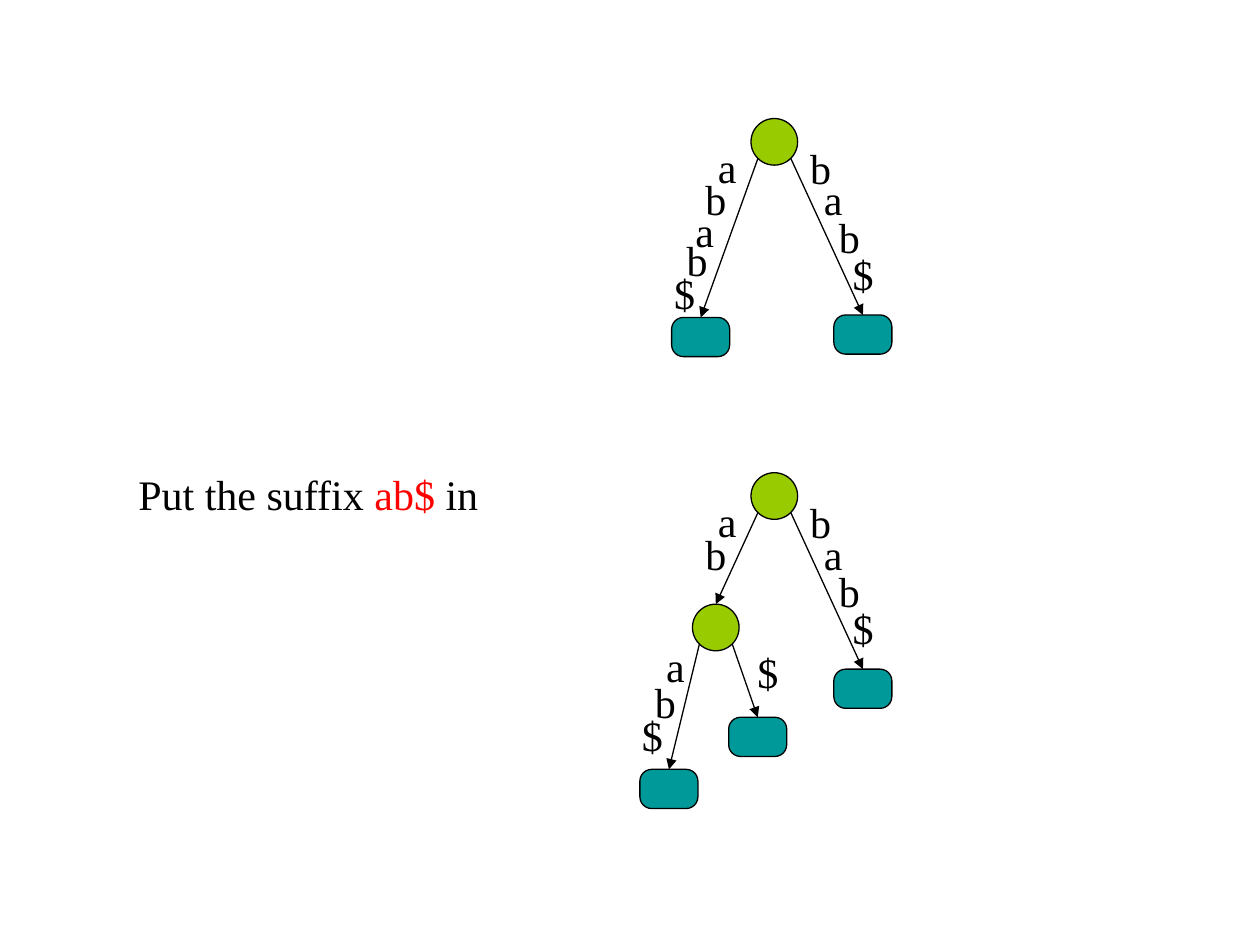
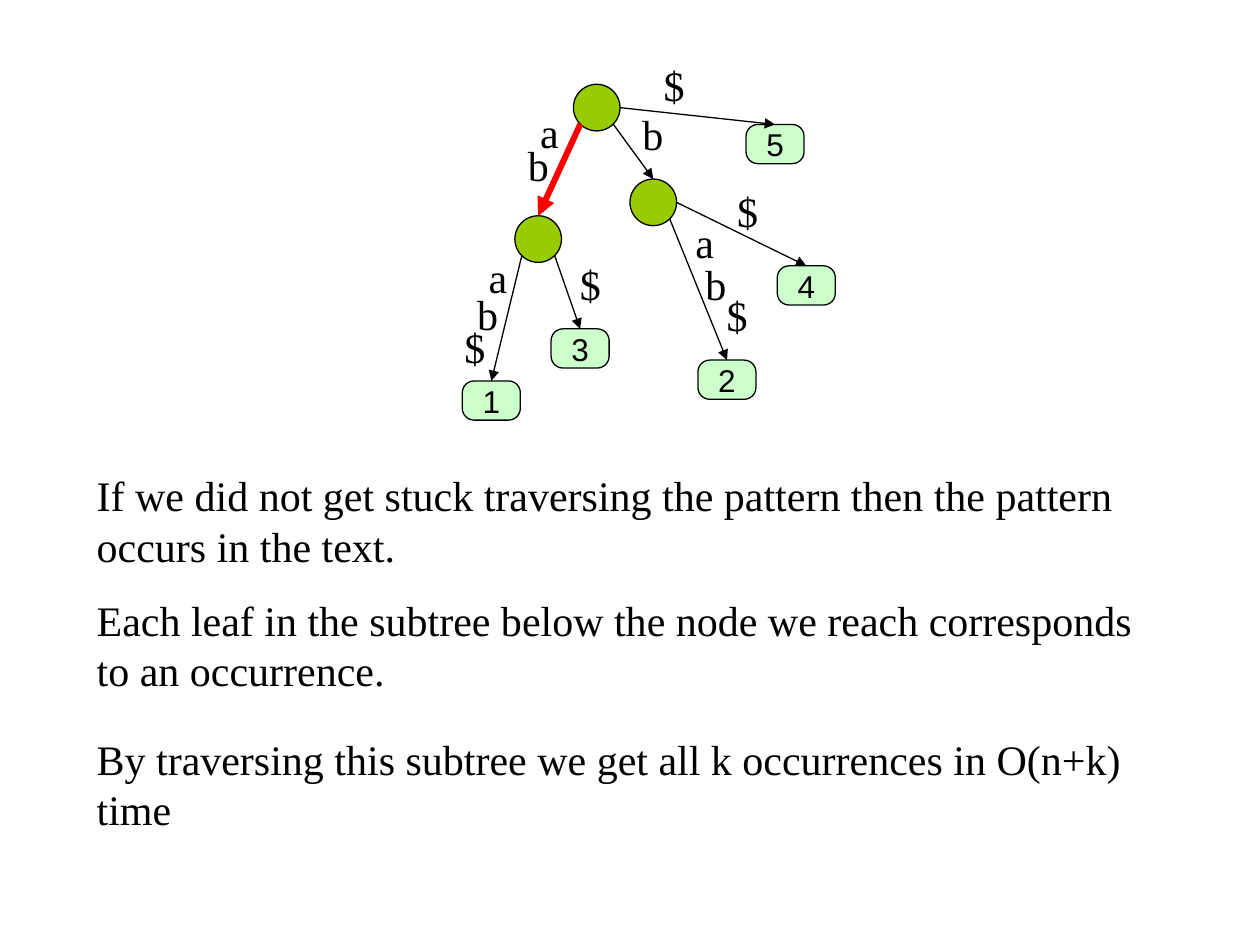
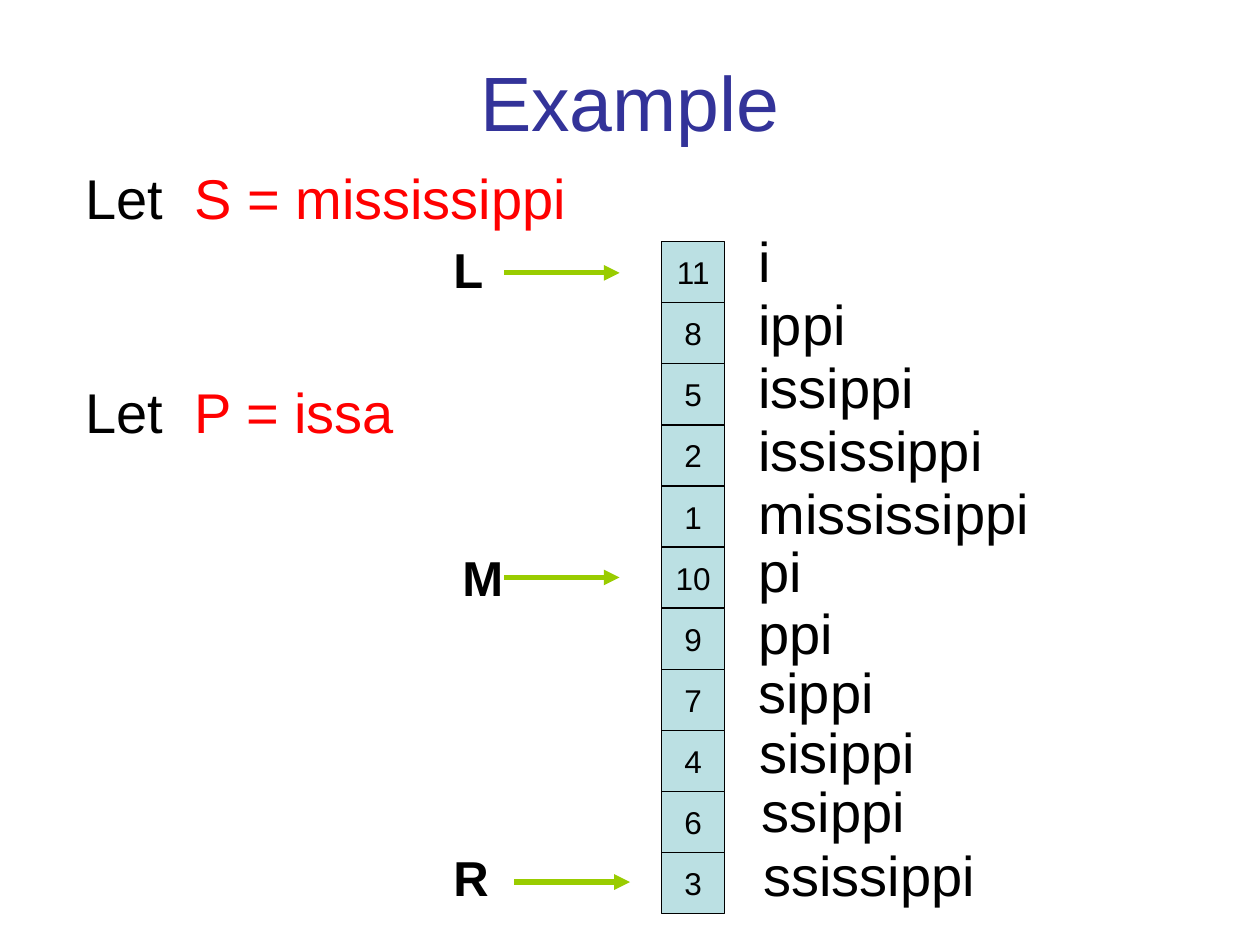
from pptx import Presentation
from pptx.dml.color import RGBColor
from pptx.enum.shapes import MSO_CONNECTOR as Connector, MSO_SHAPE as Shape
from pptx.enum.text import MSO_ANCHOR as Anchor, PP_ALIGN as Align
from pptx.oxml.ns import qn
from pptx.util import Cm, Pt
from lxml.etree import SubElement

BLACK = RGBColor(0x00, 0x00, 0x00)
RED = RGBColor(0xFF, 0x00, 0x00)
LIME = RGBColor(0x99, 0xCC, 0x00)
TEAL = RGBColor(0x00, 0x99, 0x99)
MINT = RGBColor(0xCC, 0xFF, 0xCC)
PALE_BLUE = RGBColor(0xBB, 0xE0, 0xE3)
INDIGO = RGBColor(0x33, 0x33, 0x99)
SERIF = "Times New Roman"
SANS = "Arial"

presentation = Presentation()
presentation.slide_width = Cm(25.4)
presentation.slide_height = Cm(19.05)
blank_layout = presentation.slide_layouts[6]
title_layout = presentation.slide_layouts[5]


def write(shape, runs, font, size, bold=False, centred=False):
    frame = shape.text_frame
    frame.word_wrap = not centred
    paragraph = frame.paragraphs[0]
    if centred:
        paragraph.alignment = Align.CENTER
        frame.vertical_anchor = Anchor.MIDDLE
    for text, color in runs:
        run = paragraph.add_run()
        run.text = text
        run.font.name = font
        run.font.size = Pt(size)
        run.font.bold = bold
        run.font.color.rgb = color


def add_arrow(slide, start, end, color=BLACK, width=0.75):
    arrow = slide.shapes.add_connector(
        Connector.STRAIGHT, Cm(start[0]), Cm(start[1]), Cm(end[0]), Cm(end[1]))
    arrow.line.color.rgb = color
    arrow.line.width = Pt(width)
    SubElement(arrow.line._get_or_add_ln(), qn("a:tailEnd"), type="triangle")
    SubElement(arrow._element.spPr, qn("a:effectLst"))


suffix_slide = presentation.slides.add_slide(blank_layout)
match_slide = presentation.slides.add_slide(blank_layout)
example_slide = presentation.slides.add_slide(title_layout)

NODE_SIZE = (0.94, 0.94)
LEAF_SIZE = (1.17, 0.79)
EXITS = {"left": (0.14, 0.8), "right": (0.8, 0.8), "side": (0.94, 0.47)}

# Each branch: parent, exit, child, leaf label (None for an inner node), letters
ROOT = (0, 0)
AB_NODE = (-1.18, 2.65)
B_NODE = (1.14, 1.91)
ab_branches = [
    (ROOT, "left", AB_NODE, None, [("a", -0.92, 0.33), ("b", -1.17, 0.99)]),
    (AB_NODE, "left", (-2.24, 5.98), "1",
     [("a", -1.96, 3.25), ("b", -2.19, 3.99), ("$", -2.45, 4.65)]),
    (AB_NODE, "right", (-0.45, 4.93), "3", [("$", -0.12, 3.38)]),
]
abab_branch = (ROOT, "left", (-1.6, 4.01), "1", [
    ("a", -0.92, 0.33), ("b", -1.17, 0.99), ("a", -1.37, 1.62),
    ("b", -1.55, 2.21), ("$", -1.8, 2.87)])
bab_branch = (ROOT, "right", (1.67, 3.96), "2", [
    ("b", 0.94, 0.35), ("a", 1.22, 0.99), ("b", 1.52, 1.74), ("$", 1.8, 2.49)])
b_branches = [
    (ROOT, "right", B_NODE, None, [("b", 1.14, 0.36)]),
    (B_NODE, "right", (2.51, 5.56), "2",
     [("a", 2.21, 2.54), ("b", 2.41, 3.38), ("$", 2.84, 4.02)]),
    (B_NODE, "side", (4.11, 3.66), "4", [("$", 3.05, 1.91)]),
    (ROOT, "side", (3.48, 0.81), "5", [("$", 1.57, -0.63)]),
]
MATCH_ROOT = (11.56, 1.7)
trees = [
    (suffix_slide, (15.14, 2.39), TEAL, False, [abab_branch, bab_branch]),
    (suffix_slide, (15.14, 9.53), TEAL, False, ab_branches + [bab_branch]),
    (match_slide, MATCH_ROOT, MINT, True, ab_branches + b_branches),
]

for slide, (root_x, root_y), leaf_color, numbered, branches in trees:
    vertices = [(ROOT, None)] + [(branch[2], branch[3]) for branch in branches]
    for (x, y), label in vertices:
        kind, size, color = (
            (Shape.ROUNDED_RECTANGLE, LEAF_SIZE, leaf_color) if label
            else (Shape.OVAL, NODE_SIZE, LIME))
        vertex = slide.shapes.add_shape(
            kind, Cm(root_x + x), Cm(root_y + y), Cm(size[0]), Cm(size[1]))
        vertex.shadow.inherit = False
        vertex.fill.solid()
        vertex.fill.fore_color.rgb = color
        vertex.line.color.rgb = BLACK
        vertex.line.width = Pt(0.75)
        if label:
            vertex.adjustments[0] = 0.3
            if numbered:
                write(vertex, [(label, BLACK)], SANS, 18, centred=True)

    for parent, exit_name, child, label, letters in branches:
        exit_x, exit_y = EXITS[exit_name]
        child_width = LEAF_SIZE[0] if label else NODE_SIZE[0]
        add_arrow(slide,
                  (root_x + parent[0] + exit_x, root_y + parent[1] + exit_y),
                  (root_x + child[0] + child_width / 2, root_y + child[1]))
        for letter, x, y in letters:
            box = slide.shapes.add_textbox(
                Cm(root_x + x), Cm(root_y + y), Cm(1.06), Cm(1.27))
            write(box, [(letter, BLACK)], SERIF, 24)

instruction = suffix_slide.shapes.add_textbox(Cm(2.54), Cm(9.32), Cm(9.73), Cm(1.27))
write(instruction, [("Put the suffix ", BLACK), ("ab$", RED), (" in", BLACK)], SERIF, 24)

add_arrow(match_slide,
          (MATCH_ROOT[0] + EXITS["left"][0], MATCH_ROOT[1] + EXITS["left"][1]),
          (MATCH_ROOT[0] + AB_NODE[0] + NODE_SIZE[0] / 2, MATCH_ROOT[1] + AB_NODE[1]),
          RED, 3.5)
remarks = [
    (9.35, "If we did not get stuck traversing the pattern then the pattern "
           "occurs in the text."),
    (11.86, "Each leaf in the subtree below the node we reach corresponds "
            "to an occurrence."),
    (14.66, "By traversing this subtree we get all k occurrences in O(n+k) time"),
]
for top, text in remarks:
    remark = match_slide.shapes.add_textbox(Cm(1.7), Cm(top), Cm(21.59), Cm(2.29))
    write(remark, [(text, BLACK)], SERIF, 24)

title = example_slide.shapes.title
title.left, title.top, title.width, title.height = Cm(1.27), Cm(0.43), Cm(22.86), Cm(3.18)
write(title, [("Example", INDIGO)], SANS, 44, centred=True)

for top, text in [(3.18, "S = mississippi"), (7.49, "P = issa")]:
    definition = example_slide.shapes.add_textbox(Cm(1.47), Cm(top), Cm(11.86), Cm(1.6))
    write(definition, [("Let  ", BLACK), (text, RED)], SANS, 32)

suffixes = [
    (11, "i", 15.04, 4.45), (8, "ippi", 15.04, 5.72), (5, "issippi", 15.04, 6.99),
    (2, "ississippi", 15.04, 8.26), (1, "mississippi", 15.04, 9.53),
    (10, "pi", 15.04, 10.69), (9, "ppi", 15.04, 11.94), (7, "sippi", 15.04, 13.13),
    (4, "sisippi", 15.06, 14.33), (6, "ssippi", 15.11, 15.52),
    (3, "ssissippi", 15.14, 16.81),
]
suffix_array = example_slide.shapes.add_group_shape()
for row, (position, suffix, left, top) in enumerate(suffixes):
    cell = suffix_array.shapes.add_shape(
        Shape.RECTANGLE, Cm(13.34), Cm(4.87 + 1.232 * row), Cm(1.27), Cm(1.23))
    cell.shadow.inherit = False
    cell.fill.solid()
    cell.fill.fore_color.rgb = PALE_BLUE
    cell.line.color.rgb = BLACK
    cell.line.width = Pt(0.75)
    write(cell, [(str(position), BLACK)], SANS, 18, centred=True)
    box = example_slide.shapes.add_textbox(Cm(left), Cm(top), Cm(9.53), Cm(1.6))
    write(box, [(suffix, BLACK)], SANS, 32)

pointers = [
    ("L", 8.89, 4.7, 10.16, 5.5),
    ("M", 9.07, 10.92, 10.16, 11.64),
    ("R", 8.89, 16.97, 10.37, 17.78),
]
for name, left, top, arrow_left, arrow_top in pointers:
    add_arrow(example_slide, (arrow_left, arrow_top), (arrow_left + 2.33, arrow_top), LIME, 3)
    box = example_slide.shapes.add_textbox(Cm(left), Cm(top), Cm(1.48), Cm(1.45))
    write(box, [(name, BLACK)], SANS, 28, bold=True)

presentation.save("out.pptx")
